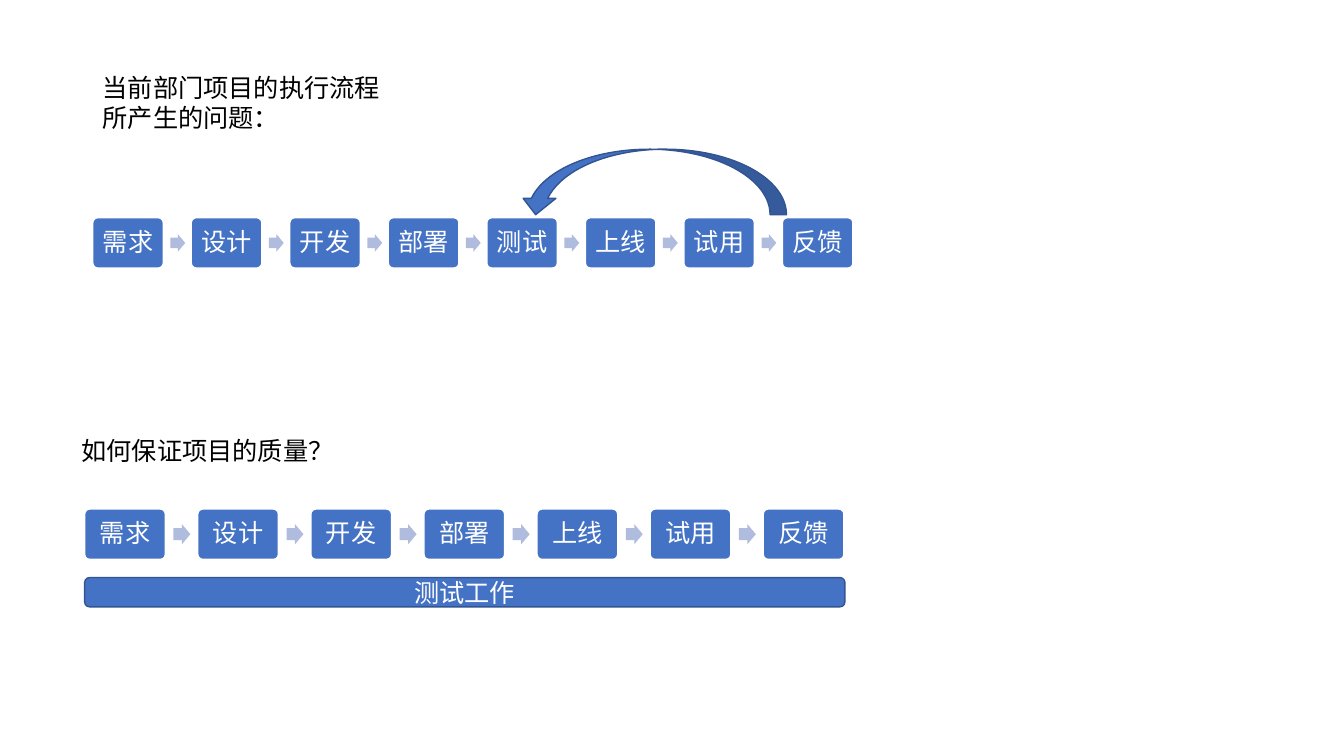
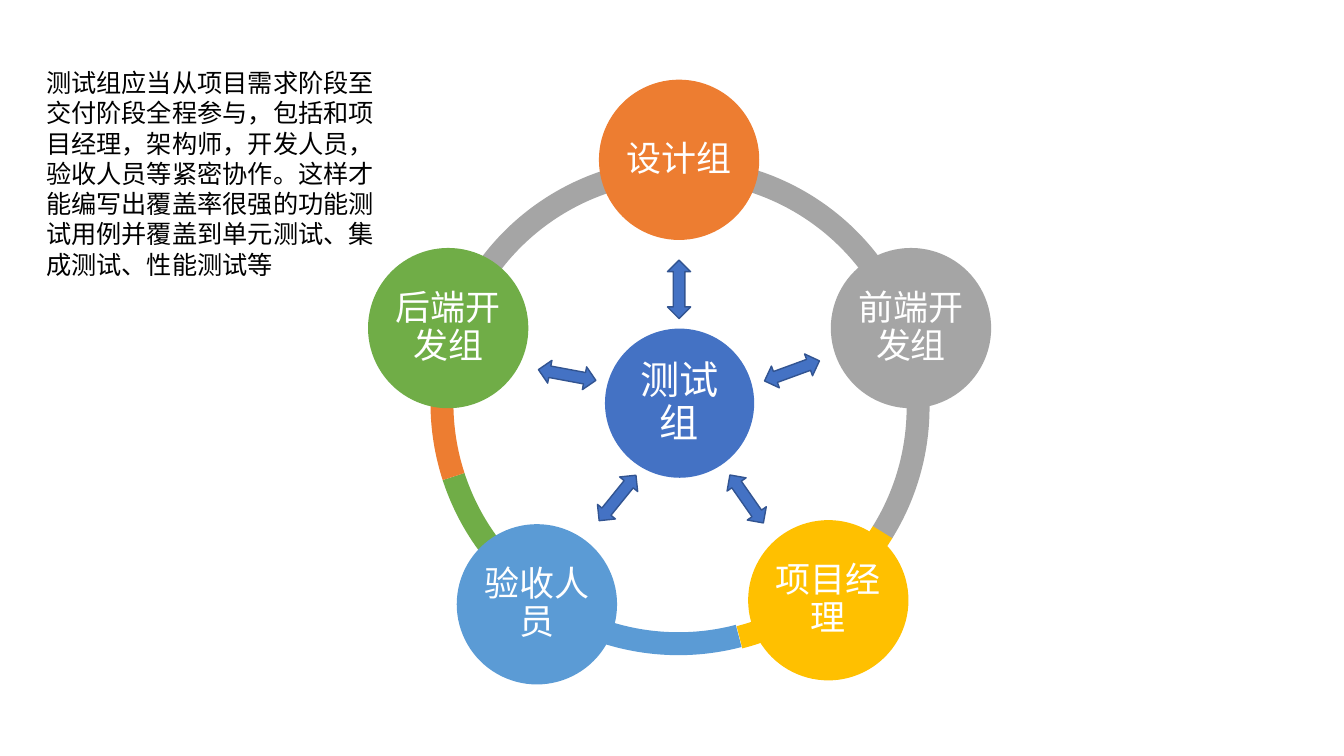
from dataclasses import dataclass

from lxml import etree
from pptx import Presentation
from pptx.dml.color import RGBColor
from pptx.enum.shapes import MSO_SHAPE
from pptx.enum.text import MSO_ANCHOR, PP_ALIGN
from pptx.oxml.ns import qn
from pptx.util import Inches, Pt

ROUNDED = MSO_SHAPE.ROUNDED_RECTANGLE
RIGHT_ARROW = MSO_SHAPE.RIGHT_ARROW
CURVED_ARROW = MSO_SHAPE.CURVED_UP_ARROW
DOUBLE_ARROW = MSO_SHAPE.UP_DOWN_ARROW
CIRCLE = MSO_SHAPE.OVAL
ARC = MSO_SHAPE.BLOCK_ARC
CENTER = PP_ALIGN.CENTER
LEFT = PP_ALIGN.LEFT
MIDDLE = MSO_ANCHOR.MIDDLE


@dataclass(frozen=True)
class Theme:
    """Font, type sizes and colours shared by the slides."""
    font: str = "Noto Sans CJK SC"
    body: int = 18
    group: int = 25
    hub: int = 28
    black: str = "000000"
    white: str = "FFFFFF"
    blue: str = "4472C4"
    outline: str = "325491"
    pale: str = "B0BCDE"
    orange: str = "ED7D31"
    gray: str = "A5A5A5"
    yellow: str = "FFC000"
    sky: str = "5B9BD5"
    green: str = "70AD47"


theme = Theme()


def add_shape(slide, kind, box, fill, line=None, adjustments=(), rotation=0):
    """Add a flat preset shape; box is left, top, width, height in inches."""
    shape = slide.shapes.add_shape(kind, *[Inches(value) for value in box])
    shape.shadow.inherit = False
    shape.rotation = rotation
    shape.fill.solid()
    shape.fill.fore_color.rgb = RGBColor.from_string(fill)
    if line:
        shape.line.color.rgb = RGBColor.from_string(line)
        shape.line.width = Pt(1)
    else:
        shape.line.fill.background()
    for index, value in enumerate(adjustments):
        shape.adjustments[index] = value
    return shape


def write_text(shape, lines, size, color, align=CENTER, inset=None, spacing=None):
    """Write one paragraph per line into a shape or text box."""
    frame = shape.text_frame
    frame.word_wrap = True
    if align == CENTER:
        frame.vertical_anchor = MIDDLE
    if inset is not None:
        frame.margin_left = frame.margin_right = Inches(inset)
        frame.margin_top = frame.margin_bottom = Inches(inset)
    for index, line in enumerate(lines):
        paragraph = frame.add_paragraph() if index else frame.paragraphs[0]
        paragraph.alignment = align
        paragraph.line_spacing = spacing
        run = paragraph.add_run()
        run.text = line
        run.font.size = Pt(size)
        run.font.color.rgb = RGBColor.from_string(color)
        run.font.name = theme.font
        east_asian = etree.SubElement(run.font._element, qn("a:ea"))
        east_asian.set("typeface", theme.font)


presentation = Presentation()
presentation.slide_width = Inches(13.33)
presentation.slide_height = Inches(7.5)
blank = presentation.slide_layouts[6]
process_slide = presentation.slides.add_slide(blank)
team_slide = presentation.slides.add_slide(blank)

# Text boxes of both slides
text_boxes = [
    (process_slide, (0.92, 0.67, 3.9, 1.01), ["当前部门项目的执行流程", "所产生的问题："]),
    (process_slide, (0.71, 4.27, 3.9, 0.4), ["如何保证项目的质量？"]),
    (team_slide, (0.36, 0.62, 3.53, 2.22), [
        "测试组应当从项目需求阶段至交付阶段全程参与，包括和项目经理，架构师，"
        "开发人员，验收人员等紧密协作。这样才能编写出覆盖率很强的功能测试用例"
        "并覆盖到单元测试、集成测试、性能测试等"]),
]
for slide, box, lines in text_boxes:
    text_box = slide.shapes.add_textbox(*[Inches(value) for value in box])
    write_text(text_box, lines, theme.body, theme.black, LEFT)

# Slide 1: two process rows, each with arrows sized from the step width
step_height = 0.5
rows = [
    (0.92, 2.16, 0.7, 7.76, ["需求", "设计", "开发", "部署", "测试", "上线", "试用", "反馈"]),
    (0.84, 5.05, 0.8, 7.57, ["需求", "设计", "开发", "部署", "上线", "试用", "反馈"]),
]
for first_left, top, step_width, last_left, steps in rows:
    pitch = (last_left - first_left) / (len(steps) - 1)
    arrow_width, arrow_height = 0.21 * step_width, 0.25 * step_width
    for index, name in enumerate(steps):
        left = first_left + index * pitch
        step = add_shape(process_slide, ROUNDED, (left, top, step_width, step_height),
                         theme.blue, theme.white, [0.1])
        write_text(step, [name], theme.body, theme.white, inset=0.07, spacing=0.9)
        if index < len(steps) - 1:
            arrow_box = (left + 1.1 * step_width, top + (step_height - arrow_height) / 2,
                         arrow_width, arrow_height)
            add_shape(process_slide, RIGHT_ARROW, arrow_box, theme.pale,
                      adjustments=[0.6, 0.5])

add_shape(process_slide, CURVED_ARROW, (5.15, 1.48, 2.65, 0.65),
          theme.blue, theme.outline, rotation=180)
testing_bar = add_shape(process_slide, ROUNDED, (0.84, 5.73, 7.54, 0.29),
                        theme.blue, theme.outline)
write_text(testing_bar, ["测试工作"], theme.body, theme.white)

# Slide 2: ring of arcs, angles in degrees
ring_size = 4.94
degree = 0.6  # one degree in adjustment units
arcs = [
    (4.27, 1.53, 118.8, 162, theme.green),
    (4.26, 1.56, 75.32, 119.29, theme.sky),
    (4.28, 1.57, 31.59, 75.63, theme.yellow),
    (4.28, 1.57, 204.59, 31.71, theme.gray),
    (4.27, 1.53, 162, 205.2, theme.orange),
]
# The last arc to the right runs clockwise from -18 to 31.71 degrees
for left, top, start, end, color in arcs:
    add_shape(team_slide, ARC, (left, top, ring_size, ring_size), color,
              adjustments=[start * degree, end * degree, 0.046])

group_size = 1.59
circles = [
    ("测试组", 6, 3.26, 1.48, theme.blue, theme.hub, 0.04),
    ("设计组", 5.94, 0.79, group_size, theme.orange, theme.group, 0.03),
    ("前端开发组", 8.24, 2.46, group_size, theme.gray, theme.group, 0.03),
    ("项目经理", 7.42, 5.16, group_size, theme.yellow, theme.group, 0.03),
    ("验收人员", 4.53, 5.2, group_size, theme.sky, theme.group, 0.03),
    ("后端开发组", 3.65, 2.46, group_size, theme.green, theme.group, 0.03),
]
for name, left, top, size, color, type_size, inset in circles:
    circle = add_shape(team_slide, CIRCLE, (left, top, size, size), color)
    write_text(circle, [name], type_size, theme.white, inset=inset, spacing=0.9)

# Double arrows between the hub and the groups
double_arrows = [(6.62, 2.58, 0), (7.29, 4.66, 145.1), (6.01, 4.65, 219),
                 (7.74, 3.39, 69.9), (5.51, 3.43, 280.6)]
for left, top, rotation in double_arrows:
    add_shape(team_slide, DOUBLE_ARROW, (left, top, 0.23, 0.58),
              theme.blue, theme.outline, rotation=rotation)

presentation.save("out.pptx")
